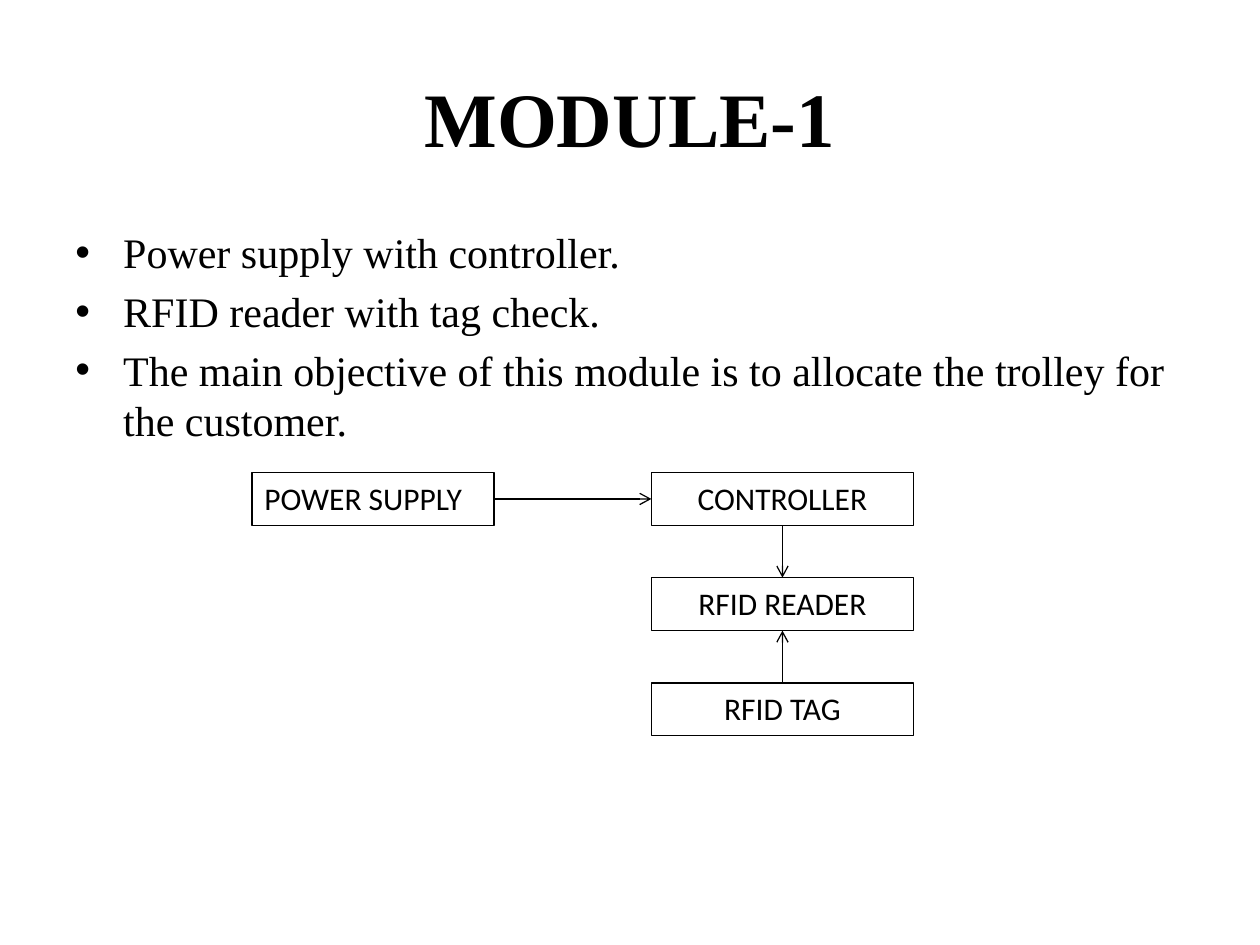
from dataclasses import dataclass
from typing import Any

from lxml.etree import SubElement
from pptx import Presentation
from pptx.dml.color import RGBColor
from pptx.enum.shapes import MSO_CONNECTOR, MSO_SHAPE
from pptx.enum.text import MSO_ANCHOR, PP_ALIGN
from pptx.oxml.ns import qn
from pptx.util import Inches, Pt

BLACK = RGBColor(0, 0, 0)
TOP, LEFT, BOTTOM, RIGHT = range(4)
BLOCK_HEIGHT = 0.42
FIRST_ROW_TOP = 3.75
ROW_PITCH = 0.835
BULLET_INDENT = Inches(0.38)

TITLE_FONT = {"name": "Times New Roman", "size": Pt(44), "bold": True}
BODY_FONT = {"name": "Times New Roman", "size": Pt(24)}
BLOCK_FONT = {"name": "Calibri", "size": Pt(18)}
CENTERED = {"alignment": PP_ALIGN.CENTER}
LEFT_ALIGNED = {"alignment": PP_ALIGN.LEFT}
BULLETED = {"alignment": PP_ALIGN.LEFT, "space_before": Pt(4.8)}


@dataclass(frozen=True)
class Block:
    label: str
    left: float
    width: float
    row: int
    paragraph_format: dict[str, Any]


@dataclass(frozen=True)
class Arrow:
    source: str
    source_side: int
    target: str
    target_side: int


BULLETS = [
    "Power supply with controller.",
    "RFID reader with tag check.",
    "The main objective of this module is to allocate the trolley for the customer.",
]
BLOCKS = [
    Block("POWER SUPPLY", 2, 1.92, 0, LEFT_ALIGNED),
    *(
        Block(label, 5.17, 2.08, row, CENTERED)
        for row, label in enumerate(["CONTROLLER", "RFID READER", "RFID TAG"])
    ),
]
ARROWS = [
    Arrow("POWER SUPPLY", RIGHT, "CONTROLLER", LEFT),
    Arrow("CONTROLLER", BOTTOM, "RFID READER", TOP),
    Arrow("RFID TAG", TOP, "RFID READER", BOTTOM),
]


def apply_format(target: Any, values: dict[str, Any]) -> None:
    for name, value in values.items():
        setattr(target, name, value)


def write_paragraph(paragraph: Any, text: str, font: dict, layout: dict) -> None:
    run = paragraph.add_run()
    run.text = text
    apply_format(run.font, font)
    run.font.color.rgb = BLACK
    apply_format(paragraph, layout)


def add_bullet(paragraph: Any) -> None:
    properties = paragraph._p.get_or_add_pPr()
    properties.set("marL", str(BULLET_INDENT))
    properties.set("indent", str(-BULLET_INDENT))
    SubElement(properties, qn("a:buFont"), typeface="Arial")
    SubElement(properties, qn("a:buChar"), char="•")


def add_text_frame(slide: Any, top: float, height: float, anchor: Any) -> Any:
    shape = slide.shapes.add_textbox(
        Inches(0.5), Inches(top), Inches(9), Inches(height)
    )
    apply_format(shape.text_frame, {"word_wrap": True, "vertical_anchor": anchor})
    return shape.text_frame


def add_block(shapes: Any, block: Block) -> Any:
    shape = shapes.add_shape(
        MSO_SHAPE.RECTANGLE,
        Inches(block.left),
        Inches(FIRST_ROW_TOP + block.row * ROW_PITCH),
        Inches(block.width),
        Inches(BLOCK_HEIGHT),
    )
    shape.shadow.inherit = False
    shape.fill.background()
    style_line(shape.line)
    frame = shape.text_frame
    apply_format(frame, {"word_wrap": True, "vertical_anchor": MSO_ANCHOR.TOP})
    write_paragraph(
        frame.paragraphs[0], block.label, BLOCK_FONT, block.paragraph_format
    )
    return shape


def style_line(line: Any) -> None:
    line.color.rgb = BLACK
    line.width = Pt(0.75)


def add_arrow(shapes: Any, arrow: Arrow, blocks: dict[str, Any]) -> None:
    connector = shapes.add_connector(MSO_CONNECTOR.STRAIGHT, 0, 0, 0, 0)
    connector.begin_connect(blocks[arrow.source], arrow.source_side)
    connector.end_connect(blocks[arrow.target], arrow.target_side)
    style_line(connector.line)
    SubElement(connector.line._get_or_add_ln(), qn("a:tailEnd"), type="arrow")
    SubElement(connector._element.spPr, qn("a:effectLst"))


def main() -> None:
    presentation = Presentation()
    apply_format(
        presentation, {"slide_width": Inches(10), "slide_height": Inches(7.5)}
    )
    slide = presentation.slides.add_slide(presentation.slide_layouts[6])

    title = add_text_frame(slide, 0.3, 1.25, MSO_ANCHOR.MIDDLE)
    write_paragraph(title.paragraphs[0], "MODULE-1", TITLE_FONT, CENTERED)

    body = add_text_frame(slide, 1.75, 4.95, MSO_ANCHOR.TOP)
    for index, text in enumerate(BULLETS):
        paragraph = body.add_paragraph() if index else body.paragraphs[0]
        write_paragraph(paragraph, text, BODY_FONT, BULLETED)
        add_bullet(paragraph)

    diagram = slide.shapes.add_group_shape().shapes
    blocks = {block.label: add_block(diagram, block) for block in BLOCKS}
    for arrow in ARROWS:
        add_arrow(diagram, arrow, blocks)

    presentation.save("out.pptx")


if __name__ == "__main__":
    main()
